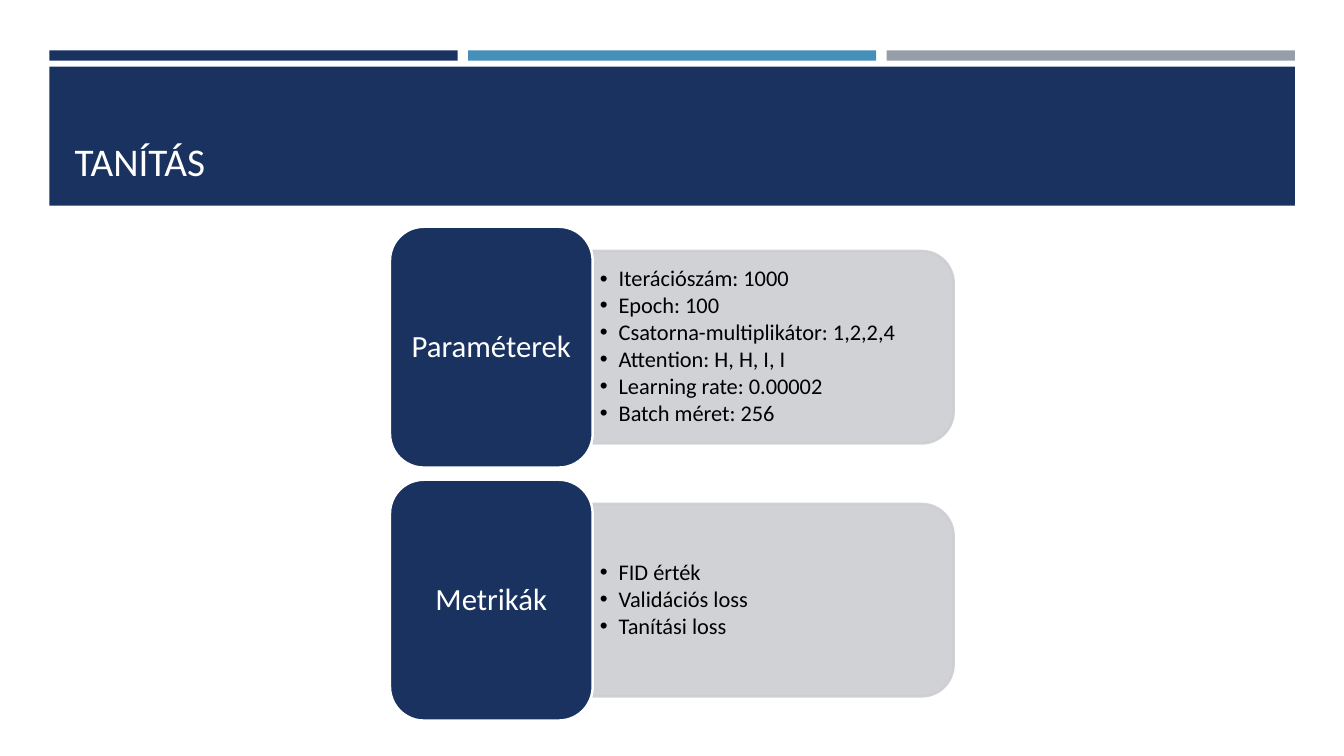
from lxml import etree
from pptx import Presentation
from pptx.dml.color import RGBColor
from pptx.enum.shapes import MSO_SHAPE
from pptx.enum.text import MSO_ANCHOR, MSO_AUTO_SIZE, PP_ALIGN
from pptx.oxml.ns import qn
from pptx.util import Pt

RECT = MSO_SHAPE.RECTANGLE
ROUNDED = MSO_SHAPE.ROUNDED_RECTANGLE
ROUND_TOP = MSO_SHAPE.ROUND_2_SAME_RECTANGLE
MIDDLE, BOTTOM = MSO_ANCHOR.MIDDLE, MSO_ANCHOR.BOTTOM
LEFT, CENTER = PP_ALIGN.LEFT, PP_ALIGN.CENTER
NO_FIT = MSO_AUTO_SIZE.NONE

NAVY = RGBColor(0x1A, 0x32, 0x60)
BLUE = RGBColor(0x45, 0x90, 0xB8)
GRAY = RGBColor(0x96, 0x9F, 0xA7)
PANEL = RGBColor(0xCD, 0xCE, 0xD2)
WHITE = RGBColor(0xFF, 0xFF, 0xFF)
BLACK = RGBColor(0, 0, 0)

FONT = "Calibri"
MARGIN = 35.3
LIST_INDENT = 13.5
TAB_LEFT, TAB_WIDTH, TAB_HEIGHT = 278.6, 144.8, 172
PANEL_WIDTH, PANEL_HEIGHT = 257.8, 137.5
LIST_WIDTH, LIST_HEIGHT = 250.6, 124.6
FIRST_TOP, ROW_PITCH = 162, 180.7

GROUPS = [
    ("Paraméterek", ["Iterációszám: 1000", "Epoch: 100",
                     "Csatorna-multiplikátor: 1,2,2,4", "Attention: H, H, I, I",
                     "Learning rate: 0.00002", "Batch méret: 256"]),
    ("Metrikák", ["FID érték", "Validációs loss", "Tanítási loss"]),
]


def set_all(target, values):
    """Set every attribute in values on target."""
    for name, value in values.items():
        setattr(target, name, value)


def add_block(s, kind, box, color, line=None):
    """Add a filled shape with an optional outline."""
    sp = s.shapes.add_shape(kind, *(Pt(v) for v in box))
    sp.shadow.inherit = False
    sp.fill.solid()
    sp.fill.fore_color.rgb = color
    if line is None:
        sp.line.fill.background()
    else:
        sp.line.color.rgb = line
        sp.line.width = Pt(1.75)
    return sp


def write(sp, lines, size, color, anchor, align, insets, after=0):
    """Write formatted paragraphs into a shape."""
    tf = sp.text_frame
    side, edge = (Pt(v) for v in insets)
    set_all(tf, {"text": "\n".join(lines), "word_wrap": True,
                 "auto_size": NO_FIT, "vertical_anchor": anchor,
                 "margin_left": side, "margin_right": side,
                 "margin_top": edge, "margin_bottom": edge})
    for p in tf.paragraphs:
        set_all(p, {"alignment": align, "line_spacing": 0.9,
                    "space_before": Pt(0), "space_after": Pt(after)})
        for r in p.runs:
            set_all(r.font, {"name": FONT, "size": Pt(size)})
            r.font.color.rgb = color


def place(s, sp, box):
    """Move a placeholder into a box and bring it to the front."""
    names = ("left", "top", "width", "height")
    set_all(sp, dict(zip(names, (Pt(v) for v in box))))
    s.shapes.element.append(sp.element)


def add_header(s):
    """Build the accent bars, the banner and the title."""
    for i, color in enumerate((NAVY, BLUE, GRAY)):
        add_block(s, RECT, (MARGIN + i * 299, 36, 291.6, 7.4), color)
    add_block(s, RECT, (MARGIN, 47.6, 889.6, 99.3), NAVY)
    title = s.shapes.title
    place(s, title, (46.1, 57.6, 868.3, 77.8))
    write(title, ["TANÍTÁS"], 28, WHITE, BOTTOM, LEFT, (7.2, 3.6))


def add_panel(s, middle):
    """Add the translucent panel, rounded on its right side."""
    center = TAB_LEFT + TAB_WIDTH + PANEL_WIDTH / 2
    box = (center - PANEL_HEIGHT / 2, middle - PANEL_WIDTH / 2,
           PANEL_HEIGHT, PANEL_WIDTH)
    panel = add_block(s, ROUND_TOP, box, PANEL, PANEL)
    panel.rotation = 90
    for color in panel.element.spPr.iter(qn("a:srgbClr")):
        etree.SubElement(color, qn("a:alpha"), val="90000")


def add_group(s, body, top, label, items):
    """Build one labelled tab with its panel and bullet list."""
    middle = top + TAB_HEIGHT / 2
    add_panel(s, middle)
    place(s, body, (TAB_LEFT + TAB_WIDTH, middle - LIST_HEIGHT / 2,
                    LIST_WIDTH, LIST_HEIGHT))
    write(body, items, 16, BLACK, MIDDLE, LEFT, (5, 2.5), 2)
    for p in body.text_frame.paragraphs:
        pPr = p._p.get_or_add_pPr()
        pPr.set("marL", str(Pt(LIST_INDENT)))
        pPr.set("indent", str(-Pt(LIST_INDENT)))
        etree.SubElement(pPr, qn("a:buChar"), char="•")
    tab = add_block(s, ROUNDED, (TAB_LEFT, top, TAB_WIDTH, TAB_HEIGHT), NAVY, WHITE)
    write(tab, [label], 22, WHITE, MIDDLE, CENTER, (5, 3.6))


def main():
    """Build the slide and save it."""
    prs = Presentation()
    set_all(prs, {"slide_width": Pt(960), "slide_height": Pt(540)})
    s = prs.slides.add_slide(prs.slide_layouts[3])
    bodies = [s.placeholders[1], s.placeholders[2]]
    add_header(s)
    for i, (body, (label, items)) in enumerate(zip(bodies, GROUPS)):
        add_group(s, body, FIRST_TOP + i * ROW_PITCH, label, items)
    prs.save("out.pptx")


if __name__ == "__main__":
    main()
